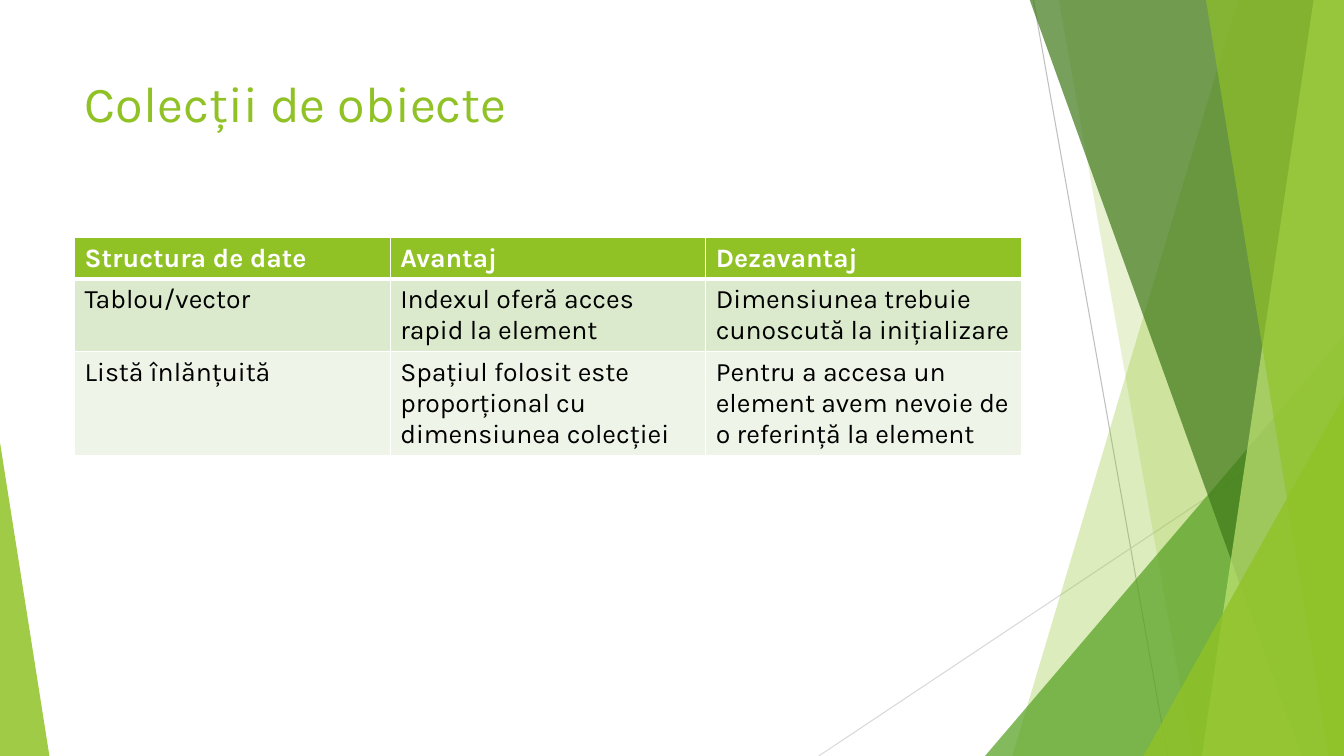
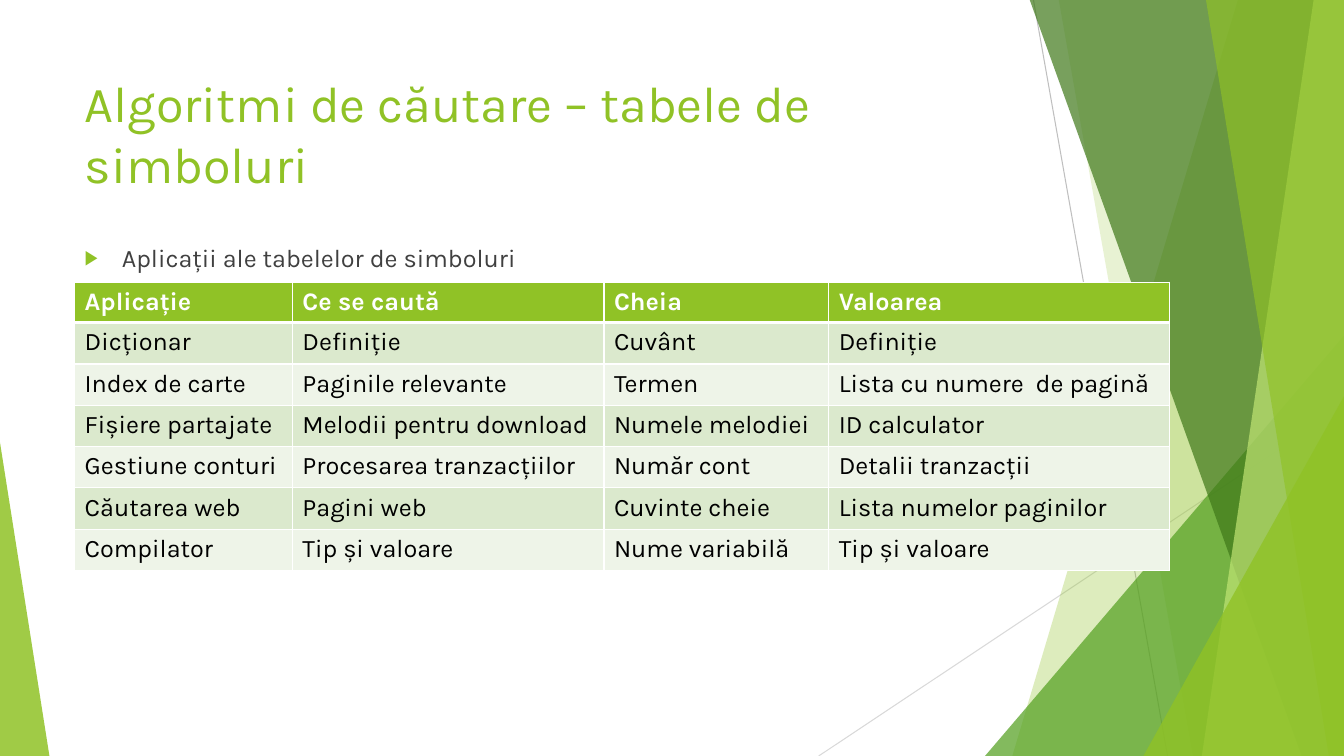
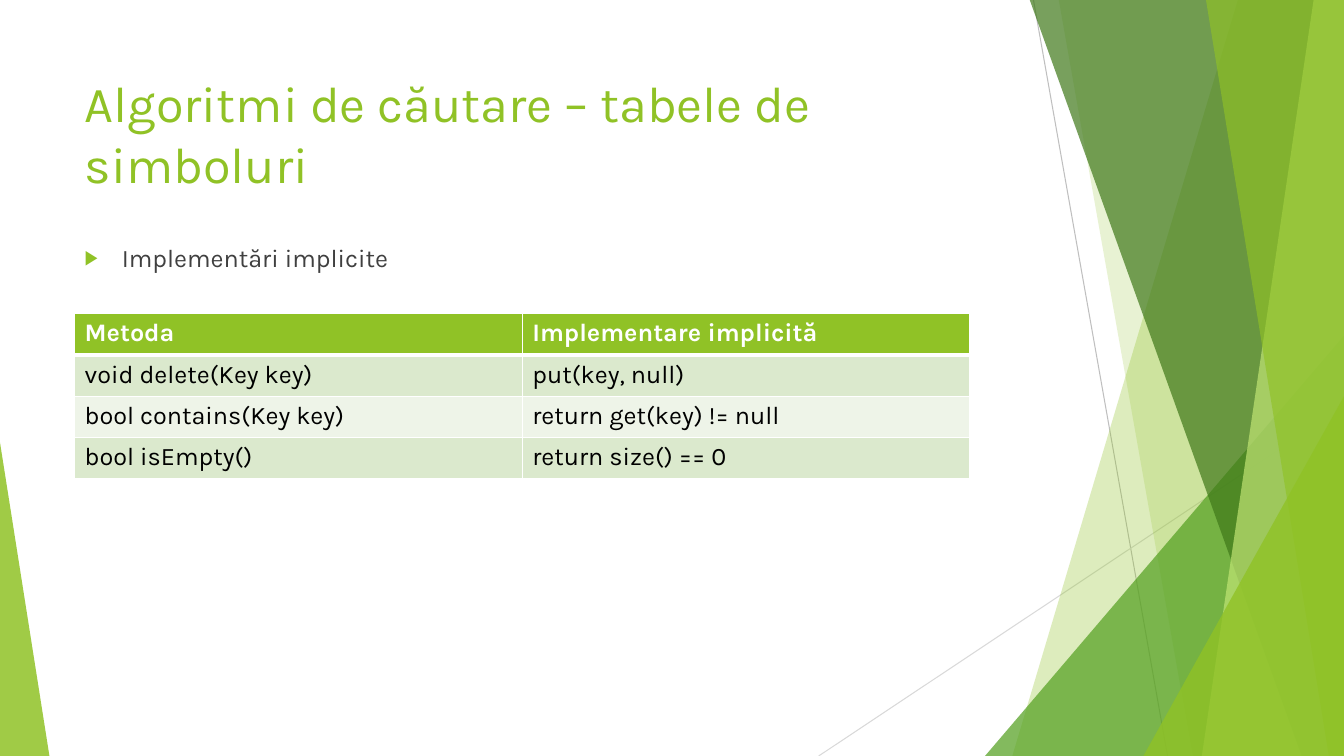
import dataclasses
import typing

import lxml.etree
import pptx
import pptx.dml.color
import pptx.enum.shapes
import pptx.enum.text
import pptx.oxml.ns
import pptx.util

Inches = pptx.util.Inches
Pt = pptx.util.Pt
RGBColor = pptx.dml.color.RGBColor
qn = pptx.oxml.ns.qn

LIME = RGBColor(0x90, 0xC2, 0x26)
GREEN = RGBColor(0x54, 0xA0, 0x21)
DARK_GREEN = RGBColor(0x3F, 0x78, 0x19)
PALE_LIME = RGBColor(0xC0, 0xE4, 0x74)
ROW_DARK = RGBColor(0xDB, 0xE9, 0xCD)
ROW_LIGHT = RGBColor(0xEE, 0xF4, 0xE8)
LINE_GRAY = RGBColor(0xBF, 0xBF, 0xBF)
LINE_LIGHT_GRAY = RGBColor(0xD9, 0xD9, 0xD9)
TEXT_GRAY = RGBColor(0x40, 0x40, 0x40)
WHITE = RGBColor(0xFF, 0xFF, 0xFF)
BLACK = RGBColor(0, 0, 0)

FONT = "Karla"
SLIDE_WIDTH = 13.33
SLIDE_HEIGHT = 7.5
BLADE_TOP = -0.01
LEFT = 0.74
CONTENT_WIDTH = 9.4


@dataclasses.dataclass(frozen=True)
class ThinLine:
    start: tuple[float, float]
    end: tuple[float, float]
    color: RGBColor


@dataclasses.dataclass(frozen=True)
class Blade:
    """A band from a slanted left edge to the right side of the slide."""
    top_x: float
    bottom_x: float
    color: RGBColor
    opacity: int


@dataclasses.dataclass(frozen=True)
class Corner:
    """A right-angled triangle standing on the bottom of the slide."""
    left: float
    top: float
    width: float
    apex: float
    color: RGBColor
    opacity: int


@dataclasses.dataclass(frozen=True)
class TableSlide:
    title: str
    table_top: float
    column_widths: list[float]
    row_heights: list[float]
    rows: list[list[str]]
    bullet: str = ""
    font_size: int = 18


THIN_LINES = [
    ThinLine((10.25, 0), (11.58, SLIDE_HEIGHT), LINE_GRAY),
    ThinLine((SLIDE_WIDTH, 4.03), (8.12, SLIDE_HEIGHT), LINE_LIGHT_GRAY),
]

FACETS = [
    Blade(12.28, 10.04, LIME, 30),
    Blade(10.5, 11.83, LIME, 20),
    Corner(9.77, 3.33, 3.56, 1, GREEN, 72),
    Blade(10.21, 12.91, DARK_GREEN, 70),
    Blade(13.03, 11.92, PALE_LIME, 70),
    Blade(11.96, 13.18, LIME, 65),
    Corner(11.34, 3.93, 1.99, 1, LIME, 80),
    Corner(0, 4.39, 0.49, 0, LIME, 85),
]

SYMBOL_TABLES = "Algoritmi de căutare – tabele de simboluri"

TABLE_SLIDES = [
    TableSlide(
        title="Colecții de obiecte",
        table_top=2.36,
        column_widths=[3.13] * 3,
        row_heights=[0.41, 0.72, 1.03],
        font_size=19,
        rows=[
            ["Structura de date", "Avantaj", "Dezavantaj"],
            ["Tablou/vector", "Indexul oferă acces rapid la element",
             "Dimensiunea trebuie cunoscută la inițializare"],
            ["Listă înlănțuită",
             "Spațiul folosit este proporțional cu dimensiunea colecției",
             "Pentru a accesa un element avem nevoie de o referință la element"],
        ],
    ),
    TableSlide(
        title=SYMBOL_TABLES,
        bullet="Aplicații ale tabelelor de simboluri",
        table_top=2.8,
        column_widths=[2.16, 3.09, 2.23, 3.38],
        row_heights=[0.39] + [0.41] * 6,
        rows=[
            ["Aplicație", "Ce se caută", "Cheia", "Valoarea"],
            ["Dicționar", "Definiție", "Cuvânt", "Definiție"],
            ["Index de carte", "Paginile relevante", "Termen",
             "Lista cu numere  de pagină"],
            ["Fișiere partajate", "Melodii pentru download", "Numele melodiei",
             "ID calculator"],
            ["Gestiune conturi", "Procesarea tranzacțiilor", "Număr cont",
             "Detalii tranzacții"],
            ["Căutarea web", "Pagini web", "Cuvinte cheie",
             "Lista numelor paginilor"],
            ["Compilator", "Tip și valoare", "Nume variabilă", "Tip și valoare"],
        ],
    ),
    TableSlide(
        title=SYMBOL_TABLES,
        bullet="Implementări implicite",
        table_top=3.11,
        column_widths=[4.44] * 2,
        row_heights=[0.41] * 4,
        rows=[
            ["Metoda", "Implementare implicită"],
            ["void delete(Key key)", "put(key, null)"],
            ["bool contains(Key key)", "return get(key) != null"],
            ["bool isEmpty()", "return size() == 0"],
        ],
    ),
]


def format_text(text_frame: typing.Any, size: int, color: RGBColor,
                bold: bool = False) -> None:
    for paragraph in text_frame.paragraphs:
        for run in paragraph.runs:
            run.font.name = FONT
            run.font.size = Pt(size)
            run.font.bold = bold
            run.font.color.rgb = color


def add_thin_line(slide: typing.Any, line: ThinLine) -> typing.Any:
    connector = slide.shapes.add_connector(
        pptx.enum.shapes.MSO_CONNECTOR.STRAIGHT,
        *(Inches(value) for value in line.start + line.end))
    connector.line.color.rgb = line.color
    connector.line.width = Pt(0.75)
    lxml.etree.SubElement(connector.element.spPr, qn("a:effectLst"))
    return connector


def add_facet(slide: typing.Any, facet: Blade | Corner) -> typing.Any:
    if isinstance(facet, Blade):
        builder = slide.shapes.build_freeform(
            Inches(facet.top_x), Inches(BLADE_TOP))
        builder.add_line_segments([
            (Inches(SLIDE_WIDTH), Inches(BLADE_TOP)),
            (Inches(SLIDE_WIDTH), Inches(SLIDE_HEIGHT)),
            (Inches(facet.bottom_x), Inches(SLIDE_HEIGHT)),
        ], close=True)
        shape = builder.convert_to_shape()
    else:
        shape = slide.shapes.add_shape(
            pptx.enum.shapes.MSO_SHAPE.ISOSCELES_TRIANGLE,
            Inches(facet.left), Inches(facet.top),
            Inches(facet.width), Inches(SLIDE_HEIGHT - facet.top))
        shape.adjustments[0] = facet.apex
    shape.shadow.inherit = False
    shape.line.fill.background()
    shape.fill.solid()
    shape.fill.fore_color.rgb = facet.color
    color = shape.element.spPr.find(".//" + qn("a:srgbClr"))
    lxml.etree.SubElement(color, qn("a:alpha"), val=str(facet.opacity * 1000))
    return shape


def decorate_layout(layout: typing.Any, slide: typing.Any) -> None:
    """Draw the facets with the slide's shape tools, then hand them to its layout."""
    for placeholder in list(layout.placeholders):
        if placeholder.placeholder_format.idx != 0:
            layout.shapes.element.remove(placeholder.element)
    decorations = [add_thin_line(slide, line) for line in THIN_LINES]
    decorations += [add_facet(slide, facet) for facet in FACETS]
    for shape in decorations:
        layout.shapes.element.append(shape.element)


def set_title(slide: typing.Any, text: str) -> None:
    title = slide.shapes.title
    title.left, title.top = Inches(LEFT), Inches(0.67)
    title.width, title.height = Inches(CONTENT_WIDTH), Inches(1.44)
    text_frame = title.text_frame
    text_frame.text = text
    text_frame.auto_size = pptx.enum.text.MSO_AUTO_SIZE.NONE
    text_frame.vertical_anchor = pptx.enum.text.MSO_ANCHOR.TOP
    text_frame.paragraphs[0].alignment = pptx.enum.text.PP_ALIGN.LEFT
    format_text(text_frame, 36, LIME)


def add_bullet(slide: typing.Any, text: str) -> None:
    box = slide.shapes.add_textbox(
        Inches(LEFT), Inches(2.36), Inches(CONTENT_WIDTH), Inches(4.24))
    text_frame = box.text_frame
    text_frame.word_wrap = True
    text_frame.text = text
    format_text(text_frame, 18, TEXT_GRAY)
    paragraph = text_frame.paragraphs[0]
    paragraph.space_before = Pt(10)
    properties = paragraph._p.get_or_add_pPr()
    properties.set("marL", str(Inches(0.37)))
    properties.set("indent", str(-Inches(0.37)))
    bullet_color = lxml.etree.SubElement(properties, qn("a:buClr"))
    lxml.etree.SubElement(bullet_color, qn("a:srgbClr"), val=str(LIME))
    lxml.etree.SubElement(properties, qn("a:buSzPct"), val="80000")
    lxml.etree.SubElement(properties, qn("a:buFont"), typeface=FONT)
    lxml.etree.SubElement(properties, qn("a:buChar"), char="▶")


def set_borders(cell: typing.Any, top: int, bottom: int) -> None:
    """Give a cell white borders; the widths are in points."""
    properties = cell._tc.get_or_add_tcPr()
    widths = {"a:lnL": 1, "a:lnR": 1, "a:lnT": top, "a:lnB": bottom}
    for position, (tag, width) in enumerate(widths.items()):
        border = lxml.etree.Element(qn(tag), w=str(Pt(width)))
        fill = lxml.etree.SubElement(border, qn("a:solidFill"))
        lxml.etree.SubElement(fill, qn("a:srgbClr"), val=str(WHITE))
        properties.insert(position, border)


def add_table(slide: typing.Any, content: TableSlide) -> None:
    table = slide.shapes.add_table(
        len(content.rows), len(content.column_widths),
        Inches(LEFT), Inches(content.table_top),
        Inches(sum(content.column_widths)),
        Inches(sum(content.row_heights))).table
    for column, width in zip(table.columns, content.column_widths):
        column.width = Inches(width)
    for row, height in zip(table.rows, content.row_heights):
        row.height = Inches(height)
    for row_index, texts in enumerate(content.rows):
        is_header = row_index == 0
        row_color = ROW_DARK if row_index % 2 else ROW_LIGHT
        for column_index, text in enumerate(texts):
            cell = table.cell(row_index, column_index)
            cell.text_frame.text = text
            format_text(cell.text_frame, content.font_size,
                        WHITE if is_header else BLACK, is_header)
            cell.fill.solid()
            cell.fill.fore_color.rgb = LIME if is_header else row_color
            set_borders(cell, top=3 if row_index == 1 else 1,
                        bottom=3 if is_header else 1)


def main() -> None:
    presentation = pptx.Presentation()
    presentation.slide_width = Inches(SLIDE_WIDTH)
    presentation.slide_height = Inches(SLIDE_HEIGHT)
    layout = presentation.slide_layouts.get_by_name("Title Only")
    slides = [presentation.slides.add_slide(layout) for _ in TABLE_SLIDES]
    decorate_layout(layout, slides[0])
    for slide, content in zip(slides, TABLE_SLIDES):
        set_title(slide, content.title)
        if content.bullet:
            add_bullet(slide, content.bullet)
        add_table(slide, content)
    presentation.save("out.pptx")


if __name__ == "__main__":
    main()
